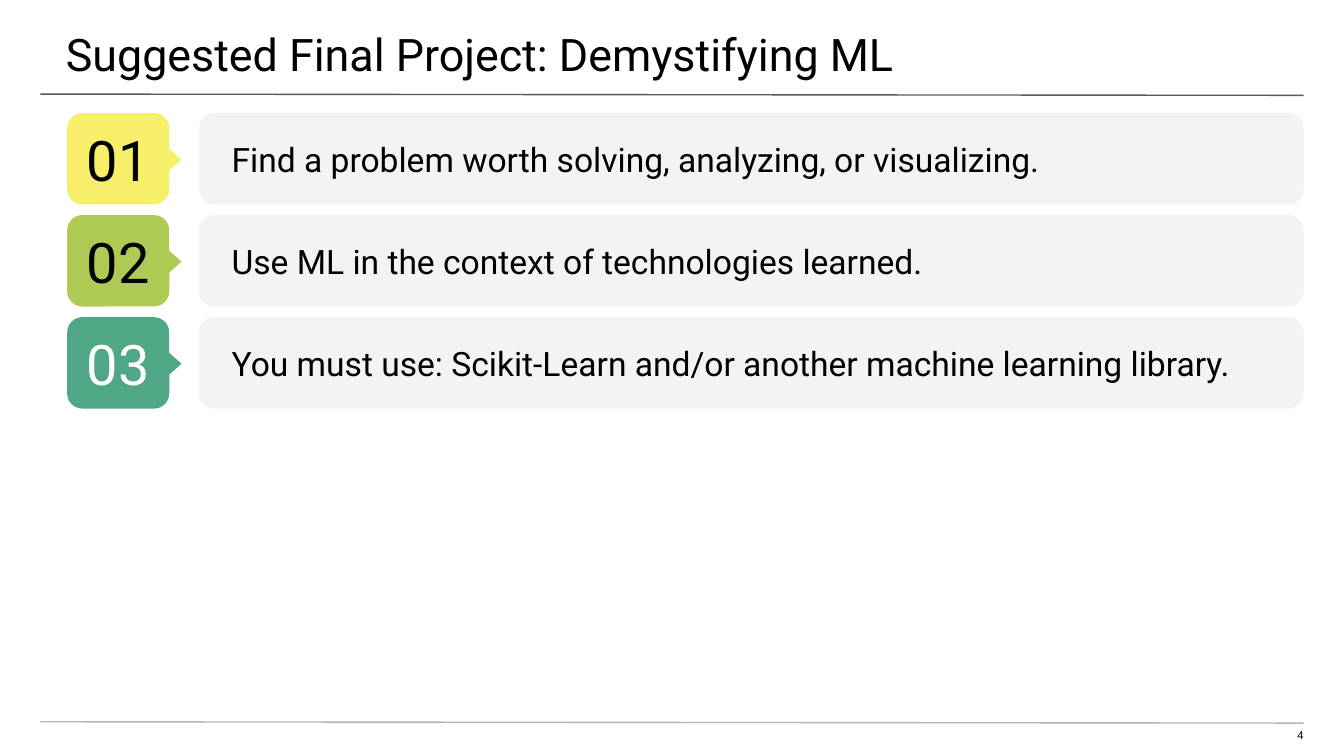
from lxml import etree
from pptx import Presentation
from pptx.dml.color import RGBColor
from pptx.enum import shapes, text
from pptx.oxml import ns
from pptx.util import Pt

COLORS = {
    "black": "000000",
    "white": "FFFFFF",
    "rule": "595959",
    "footer_rule": "A9B7C0",
    "bar": "F3F3F3",
    "yellow": "F7EF6A",
    "lime": "AFCA54",
    "green": "4FA786",
}

STEPS = [
    ("Find a problem worth solving, analyzing, or visualizing.", "yellow", "black"),
    ("Use ML in the context of technologies learned.", "lime", "black"),
    ("You must use: Scikit-Learn and/or another machine learning library.", "green", "white"),
]

FIRST_TOP, STEP_PITCH, STEP_HEIGHT = 60.5, 54.7, 49
BADGE_LEFT, BADGE_WIDTH = 36, 54.7
BAR_LEFT, BAR_WIDTH = 106.6, 591.8
POINTER_WIDTH, POINTER_HEIGHT = 26.6, 15.1


def rgb(name):
    return RGBColor.from_string(COLORS[name])


def write(shape, words, size, font="Roboto", color="black", align="LEFT",
          anchor="TOP", insets=(0, 0, 0, 0)):
    """Put one paragraph into a shape; insets run left, top, right, bottom."""
    frame = shape.text_frame
    frame.word_wrap = True
    frame.vertical_anchor = text.MSO_ANCHOR[anchor]
    (frame.margin_left, frame.margin_top,
     frame.margin_right, frame.margin_bottom) = map(Pt, insets)
    para = frame.paragraphs[0]
    para.alignment = text.PP_ALIGN[align]
    span = para.add_run()
    span.text = words
    span.font.name = font
    span.font.size = Pt(size)
    span.font.color.rgb = rgb(color)


def add_text(page, words, left, top, width, height, **style):
    box = page.shapes.add_textbox(*map(Pt, (left, top, width, height)))
    write(box, words, **style)


def add_rule(page, top, color):
    rule = page.shapes.add_connector(
        shapes.MSO_CONNECTOR.STRAIGHT, *map(Pt, (21.6, top, 698.4, top + 0.7)))
    rule.line.width = Pt(0.75)
    rule.line.color.rgb = rgb(color)
    etree.SubElement(rule._element.spPr, ns.qn("a:effectLst"))


def add_block(parent, kind, left, top, width, height, color):
    block = parent.shapes.add_shape(
        shapes.MSO_SHAPE[kind], *map(Pt, (left, top, width, height)))
    block.shadow.inherit = False
    block.fill.solid()
    block.fill.fore_color.rgb = rgb(color)
    block.line.fill.background()
    return block


def add_badge(page, number, top, color, text_color):
    """Add a numbered tile with a pointer on its right side."""
    group = page.shapes.add_group_shape()
    tile = add_block(group, "ROUNDED_RECTANGLE", BADGE_LEFT, top,
                     BADGE_WIDTH, STEP_HEIGHT, color)
    write(tile, f"{number:02}", size=30, color=text_color, align="CENTER",
          anchor="MIDDLE", insets=(7.2, 7.2, 7.2, 7.2))
    pointer_top = top + (STEP_HEIGHT - POINTER_HEIGHT) / 2 + 0.5
    pointer = add_block(group, "FLOWCHART_EXTRACT", 76.4, pointer_top,
                        POINTER_WIDTH, POINTER_HEIGHT, color)
    pointer.rotation = 90


def add_step(page, number, words, color, text_color):
    top = FIRST_TOP + (number - 1) * STEP_PITCH
    add_badge(page, number, top, color, text_color)
    bar = add_block(page, "ROUNDED_RECTANGLE", BAR_LEFT, top,
                    BAR_WIDTH, STEP_HEIGHT, "bar")
    write(bar, words, size=18, anchor="MIDDLE", insets=(15.1, 0, 15.1, 0))


def main():
    deck = Presentation()
    deck.slide_width, deck.slide_height = Pt(720), Pt(405)
    page = deck.slides.add_slide(deck.slide_layouts[6])

    add_rule(page, 50.4, "rule")
    add_rule(page, 386.7, "footer_rule")
    add_text(page, "Suggested Final Project: Demystifying ML", -0.7, 0, 722, 42,
             size=24, insets=(36, 14.4, 21.6, 7.2))
    add_text(page, "4", 677.5, 390.2, 20.9, 8.6, size=6, font="Arial",
             align="RIGHT", insets=(0, 0, 0, 7.2))
    for number, step in enumerate(STEPS, start=1):
        add_step(page, number, *step)

    deck.save("out.pptx")


if __name__ == "__main__":
    main()
